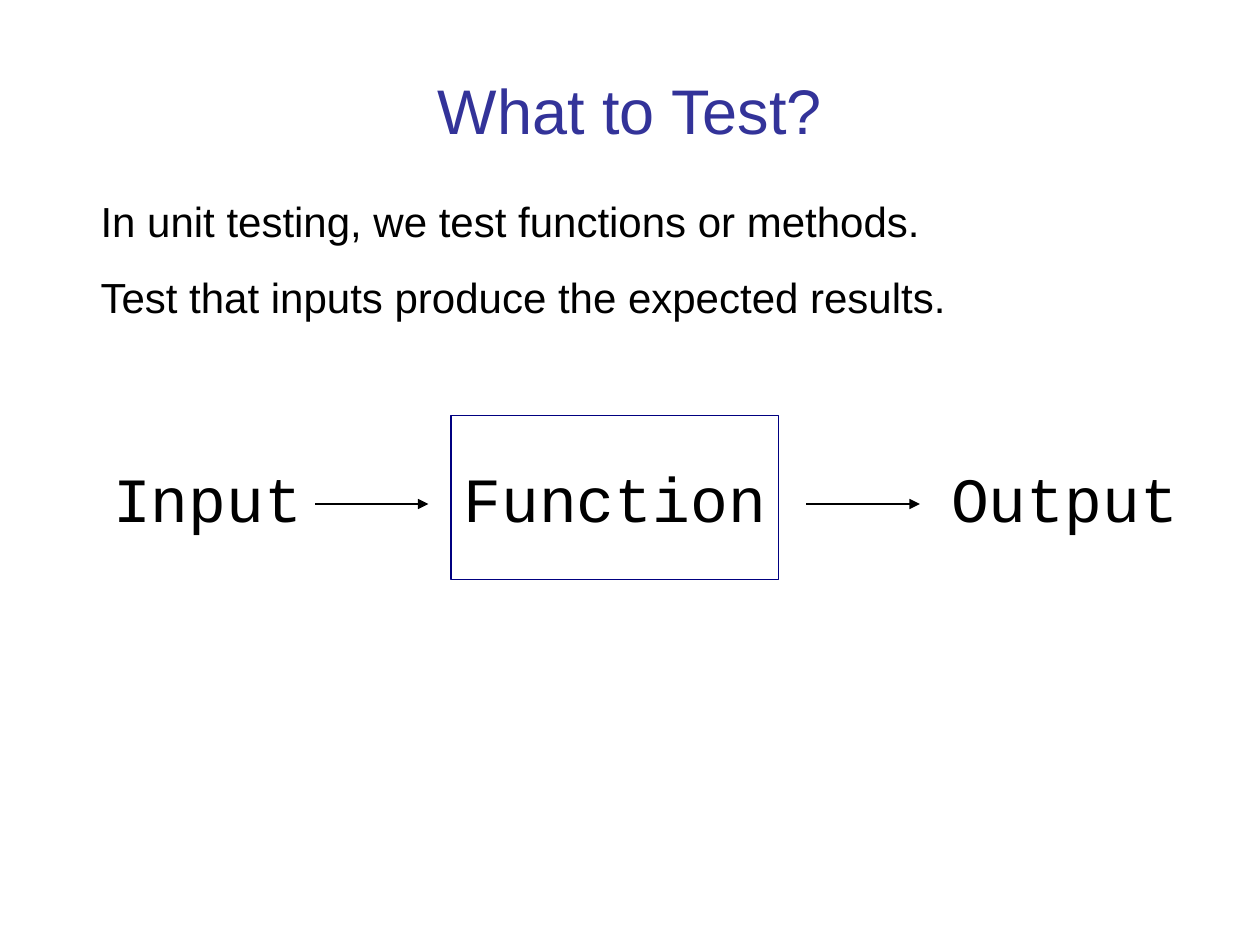
from lxml import etree
from pptx import Presentation
from pptx.dml.color import RGBColor
from pptx.enum.shapes import MSO_CONNECTOR as Link, MSO_SHAPE as Shape
from pptx.enum.text import MSO_ANCHOR as Anchor, PP_ALIGN as Align
from pptx.oxml.ns import qn
from pptx.util import Inches, Pt


def color(code):
    return RGBColor.from_string(code)


def style(para, size, face, code="000000", align=Align.LEFT):
    para.alignment = align
    font = para.font
    font.size, font.name = Pt(size), face
    font.color.rgb = color(code)


def add_title(slide, box, text):
    frame = slide.shapes.add_textbox(*map(Inches, box)).text_frame
    frame.word_wrap = True
    frame.vertical_anchor = Anchor.BOTTOM
    frame.text = text
    style(frame.paragraphs[0], 36, "Arial", "333399", Align.CENTER)


def add_body(slide, box, lines):
    frame = slide.shapes.add_textbox(*map(Inches, box)).text_frame
    frame.word_wrap = True
    for i, line in enumerate(lines):
        para = frame.add_paragraph() if i else frame.paragraphs[0]
        para.text = line
        props = para._p.get_or_add_pPr()
        props.set("marL", str(Inches(0.38)))
        props.set("indent", str(Inches(-0.35)))
        if i:
            para.space_before = Pt(15)
        style(para, 24, "Arial")


def add_label(shape, text):
    frame = shape.text_frame
    frame.word_wrap = False
    frame.vertical_anchor = Anchor.MIDDLE
    frame.text = text
    style(frame.paragraphs[0], 36, "Courier New")


def add_arrow(slide, left, top, width):
    ends = map(Inches, (left, top, left + width, top))
    arrow = slide.shapes.add_connector(Link.STRAIGHT, *ends)
    arrow.line.color.rgb = color("000000")
    arrow.line.width = Pt(0.75)
    etree.SubElement(arrow.line._get_or_add_ln(), qn("a:tailEnd"), type="triangle")
    etree.SubElement(arrow._element.spPr, qn("a:effectLst"))


def add_flow(slide, left, top, height):
    """Draw input, boxed function and output, joined by arrows."""
    def place(x, width):
        return map(Inches, (left + x, top, width, height))

    shapes = slide.shapes
    add_label(shapes.add_textbox(*place(0, 1.7)), "Input")
    block = shapes.add_shape(Shape.RECTANGLE, *place(2.78, 2.6))
    block.shadow.inherit = False
    block.fill.background()
    block.line.color.rgb = color("000080")
    block.line.width = Pt(0.75)
    add_label(block, "Function")
    add_label(shapes.add_textbox(*place(6.65, 2)), "Output")
    for x in (1.7, 5.6):
        add_arrow(slide, left + x, top + 0.7, 0.9)


def main():
    deck = Presentation()
    deck.slide_width, deck.slide_height = Inches(10), Inches(7.5)
    slide = deck.slides.add_slide(deck.slide_layouts[6])
    add_title(slide, (0.67, 0.28, 8.66, 0.94), "What to Test?")
    add_body(slide, (0.67, 1.5, 8.66, 1.1), (
        "In unit testing, we test functions or methods.",
        "Test that inputs produce the expected results.",
    ))
    add_flow(slide, 0.8, 3.3, 1.3)
    deck.save("out.pptx")


if __name__ == "__main__":
    main()
